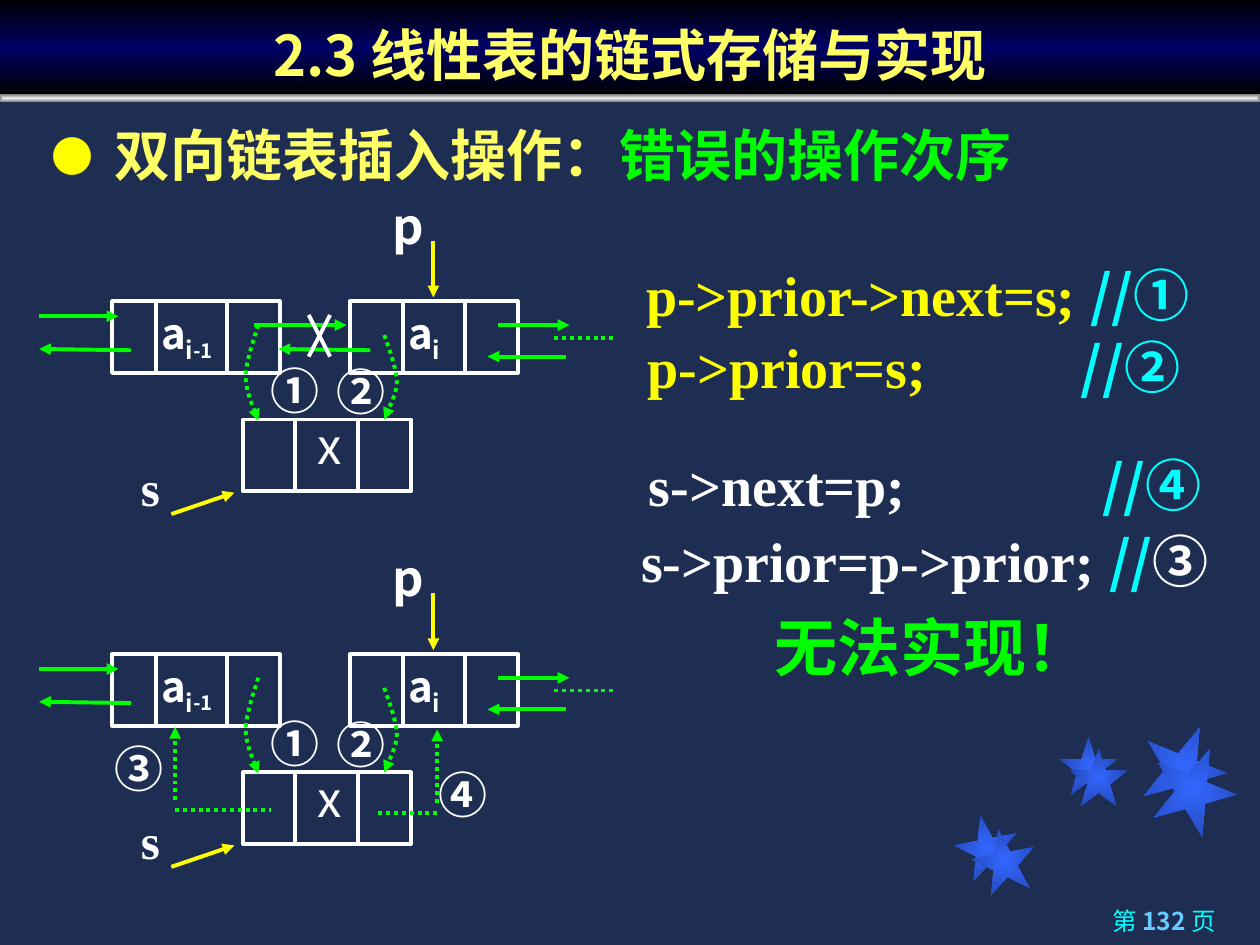
from lxml.etree import SubElement
from pptx import Presentation
from pptx.dml.color import RGBColor
from pptx.enum.dml import MSO_LINE
from pptx.enum.shapes import MSO_CONNECTOR, MSO_SHAPE
from pptx.enum.text import MSO_ANCHOR, MSO_AUTO_SIZE, PP_ALIGN
from pptx.oxml import parse_xml
from pptx.oxml.ns import nsdecls, qn
from pptx.util import Inches, Pt

NAVY, BLACK, DEEP = RGBColor(0x1E, 0x2E, 0x53), RGBColor(0, 0, 0), RGBColor(0, 0, 0x66)
WHITE, SILVER, GRAY = RGBColor(255, 255, 255), RGBColor(0xED, 0xED, 0xED), RGBColor(128, 128, 128)
CREAM, YELLOW = RGBColor(255, 255, 0x66), RGBColor(255, 255, 0)
GREEN, CYAN, SKY = RGBColor(0, 255, 0), RGBColor(0, 255, 255), RGBColor(0x66, 0xCC, 255)
BLUE, INDIGO = RGBColor(0x33, 0x66, 255), RGBColor(0x24, 0x49, 0xB6)
SANS, SERIF = "Noto Sans CJK SC", "Times New Roman"
WIDTH, HEIGHT = Inches(10), Inches(7.5)
UNIT = WIDTH // 100


def units(*values):
    """Turn hundredths of the slide width into lengths."""
    return [round(value * UNIT) for value in values]


def paint_gradient(shape, stops, direction):
    """Fill a shape with evenly spaced colour stops."""
    shape.fill.background()
    marks = "".join(
        f'<a:gs pos="{100000 * i // (len(stops) - 1)}"><a:srgbClr val="{color}"/></a:gs>'
        for i, color in enumerate(stops))
    old = shape.fill._xPr.find(qn("a:noFill"))
    old.getparent().replace(old, parse_xml(
        f'<a:gradFill {nsdecls("a")} rotWithShape="1"><a:gsLst>{marks}</a:gsLst>{direction}</a:gradFill>'))


LINEAR = '<a:lin ang="5400000" scaled="0"/>'
CENTRED = '<a:path path="rect"><a:fillToRect l="50000" t="50000" r="50000" b="50000"/></a:path>'


def write(paragraph, *pieces):
    """Add runs given as text, size, font, colour, bold and baseline."""
    for text, size, face, color, bold, *baseline in pieces:
        run = paragraph.add_run()
        run.text = text
        run.font.size, run.font.name, run.font.bold = Pt(size), face, bold
        run.font.color.rgb = color
        properties = run._r.get_or_add_rPr()
        SubElement(properties, qn("a:ea")).set("typeface", SANS)
        if baseline:
            properties.set("baseline", str(baseline[0] * 1000))


def add_text(slide, box, *pieces):
    """Place a wrapped text box and return its frame."""
    frame = slide.shapes.add_textbox(*units(*box)).text_frame
    frame.word_wrap = True
    write(frame.paragraphs[0], *pieces)
    return frame


def style_line(shape, color, dotted=False, arrow=False):
    """Give an outline its colour, dots and arrowhead."""
    shape.line.color.rgb, shape.line.width = color, Pt(2.25)
    if dotted:
        shape.line.dash_style = MSO_LINE.ROUND_DOT
    if arrow:
        SubElement(shape.line._get_or_add_ln(), qn("a:tailEnd")).set("type", "triangle")


def add_line(slide, origin, ends, color, **style):
    """Draw a straight line relative to an origin."""
    x, y = origin
    x1, y1, x2, y2 = ends
    line = slide.shapes.add_connector(MSO_CONNECTOR.STRAIGHT, *units(x + x1, y + y1, x + x2, y + y2))
    style_line(line, color, **style)
    SubElement(line._element.spPr, qn("a:effectLst"))


def add_curve(slide, origin, knots):
    """Draw a dotted arrow through two cubic curves."""
    points = []
    for a, b, c, d in (knots[:4], knots[3:]):
        for step in range(11):
            t = step / 10
            weights = (1 - t) ** 3, 3 * t * (1 - t) ** 2, 3 * t * t * (1 - t), t ** 3
            points.append(units(*(origin[axis] + sum(w * p[axis] for w, p in zip(weights, (a, b, c, d)))
                                  for axis in (0, 1))))
    builder = slide.shapes.build_freeform(*points[0])
    builder.add_line_segments(points[1:], close=False)
    curve = builder.convert_to_shape()
    curve.shadow.inherit = False
    curve.fill.background()
    style_line(curve, GREEN, dotted=True, arrow=True)


def add_node(slide, left, top, dividers):
    """Draw a list node with three cells."""
    node = slide.shapes.add_shape(MSO_SHAPE.RECTANGLE, *units(left, top, 13.3, 5.7))
    node.shadow.inherit = False
    node.fill.background()
    style_line(node, WHITE)
    for x in dividers:
        add_line(slide, (left, top), (x, 0, x, 5.7), WHITE)


def add_label(slide, origin, box, *pieces):
    """Place a label relative to an origin."""
    add_text(slide, (origin[0] + box[0], origin[1] + box[1], *box[2:]), *pieces)


def add_chain(slide, origin):
    """Draw two linked nodes with the new node below them."""
    for x, y, dividers in ((0, 0, (3.5, 9.1)), (18.9, 0, (4.2, 9.1)), (10.4, 9.4, (4.1, 9.1))):
        add_node(slide, origin[0] + x, origin[1] + y, dividers)
    for ends in ((-5.8, 1.2, 0.5, 1.2), (1.5, 3.9, -5.8, 3.8),
                 (30.6, 1.9, 36.3, 1.9), (36, 4.4, 29.8, 4.4)):
        add_line(slide, origin, ends, GREEN, arrow=True)
    for ends in ((25.5, -4.8, 25.5, -0.3), (4.7, 16.9, 9.7, 15.2)):
        add_line(slide, origin, ends, YELLOW, arrow=True)
    add_line(slide, origin, (35.1, 2.9, 39.8, 2.9), GREEN, dotted=True)
    letter, index = ("a", 24, SANS, WHITE, True), ("i", 24, SANS, WHITE, True, -25)
    add_label(slide, origin, (2.9, 0, 10.3, 5.1), letter, index, ("-1", 20, SANS, WHITE, True, -25))
    add_label(slide, origin, (22.5, 0, 7.8, 5.1), letter, index)
    for text, x, y, width, face, bold in (
            ("p", 21.3, -8.9, 4, SANS, True), ("x", 15.3, 8.6, 5.7, SANS, False),
            ("s", 1.3, 11.9, 5, SERIF, True), ("①", 11.6, 4.2, 5.7, SANS, True),
            ("②", 16.8, 4.3, 6.4, SANS, True)):
        add_label(slide, origin, (x, y, width, 5.7), (text, 28, face, WHITE, bold))
    add_curve(slide, origin, ((11.6, 1.9), (11.4, 2.6), (10.6, 4.8), (10.6, 6),
                              (10.6, 7.3), (11.4, 8.8), (11.6, 9.5)))
    add_curve(slide, origin, ((21.6, 2.7), (21.8, 3.3), (22.6, 5.3), (22.6, 6.4),
                              (22.6, 7.5), (21.8, 8.7), (21.6, 9.4)))


def add_broken_link(slide, origin):
    """Cross out the links between the two nodes."""
    for ends in ((11.3, 1.9, 18.6, 1.9), (20.5, 3.9, 13.2, 3.8)):
        add_line(slide, origin, ends, GREEN, arrow=True)
    for ends in ((17.3, 1.1, 15.6, 4.4), (15.6, 1.1, 17.3, 4.4)):
        add_line(slide, origin, ends, WHITE)


def add_new_links(slide, origin):
    """Draw the dotted links from the new node to its neighbours."""
    for text, x, far, low, head, label in (
            ("③", 5, 12.6, 12.4, 5.8, (-0.8, 6.2, 4.6, 5.7)),
            ("④", 25.8, 21, 12.6, 6, (24.9, 8.3, 5.9, 5.7))):
        add_line(slide, origin, (x, low - 0.8, x, head), GREEN, dotted=True, arrow=True)
        add_line(slide, origin, (x, low, far, low), GREEN, dotted=True)
        add_label(slide, origin, label, (text, 28, SANS, WHITE, True))


def add_code(slide, box, statement, note, color, mark_color=CYAN, tab=None):
    """Write a statement with its numbered note, set off by a space or a tab."""
    gap = "\t" if tab else " "
    frame = add_text(slide, box, (statement + gap, 32, SERIF, color, True),
                     ("//", 32, SANS, CYAN, True), (note, 32, SANS, mark_color, True))
    line = frame.paragraphs[0]
    line.line_spacing = 1.2
    if tab:
        stops = SubElement(line._p.get_or_add_pPr(), qn("a:tabLst"))
        SubElement(stops, qn("a:tab"), pos=str(units(tab)[0]), algn="l")
    return frame


def add_statements(slide, left):
    """Write the four statements and the verdict."""
    add_code(slide, (left + 0.4, 19.1, 47.4, 7.5), "p->prior->next=s;", "①", YELLOW)
    add_code(slide, (left + 0.5, 24.8, 47.4, 7.5), "p->prior=s;", "②", YELLOW, tab=34.4)
    add_code(slide, (left + 0.6, 34.2, 48.1, 7.5), "s->next=p;", "④", WHITE, tab=36)
    frame = add_code(slide, (left, 40.2, 48.1, 14.7), "s->prior=p->prior;", "③", WHITE, WHITE)
    verdict = frame.add_paragraph()
    verdict.alignment, verdict.line_spacing = PP_ALIGN.CENTER, 1.2
    write(verdict, ("无法实现！", 36, SANS, GREEN, True))


def add_stars(slide):
    """Scatter three pairs of stars in the lower right corner."""
    for x, y, size, turn in ((75.8, 64.7, 5, 349), (84.1, 58.5, 4.6, 0), (90.6, 57.5, 6.7, 22),
                             (77.2, 65.8, 5, 349), (84.9, 59.4, 4.6, 0), (91.4, 59.2, 6.7, 22)):
        star = slide.shapes.add_shape(MSO_SHAPE.STAR_5_POINT, *units(x, y, size, size))
        star.rotation, star.shadow.inherit = turn, False
        paint_gradient(star, (BLUE, INDIGO), CENTRED)
        star.line.fill.background()


def set_placeholder(holder, box, anchor, *pieces):
    """Move a placeholder, write its text and return its paragraph."""
    holder.left, holder.top, holder.width, holder.height = units(*box)
    frame = holder.text_frame
    frame.auto_size, frame.vertical_anchor = MSO_AUTO_SIZE.NONE, anchor
    paragraph = frame.paragraphs[0]
    paragraph.space_before = Pt(0)
    write(paragraph, *pieces)
    return paragraph


def add_header(slide):
    """Set the title band, its rule and the topic bullet."""
    title, topic = slide.placeholders
    heading = set_placeholder(title, (0, 0, 100, 7.5), MSO_ANCHOR.BOTTOM,
                              ("2.3 线性表的链式存储与实现", 32, SANS, CREAM, True))
    heading.alignment = PP_ALIGN.CENTER
    paint_gradient(title, (BLACK, DEEP, BLACK), LINEAR)
    rule = slide.shapes.add_shape(MSO_SHAPE.RECTANGLE, *units(0, 7.5, 100, 0.6))
    rule.shadow.inherit = False
    paint_gradient(rule, (SILVER, GRAY), CENTRED)
    rule.line.fill.background()
    bullet = set_placeholder(topic, (3.1, 9.1, 83.6, 6.4), MSO_ANCHOR.TOP,
                             ("双向链表插入操作：", 32, SERIF, CREAM, True),
                             ("错误的操作次序", 32, SERIF, GREEN, True))
    layout = bullet._p.get_or_add_pPr()
    layout.set("marL", str(5 * UNIT))
    layout.set("indent", str(-5 * UNIT))
    SubElement(SubElement(layout, qn("a:buClr")), qn("a:srgbClr")).set("val", str(YELLOW))
    SubElement(layout, qn("a:buSzPct")).set("val", "75000")
    SubElement(layout, qn("a:buFont")).set("typeface", SANS)
    SubElement(layout, qn("a:buChar")).set("char", "●")


def add_page_number(slide):
    """Write the page number at the lower right."""
    frame = add_text(slide, (71.2, 71.4, 26.3, 3.6), ("第 ", 14, SANS, CYAN, False),
                     ("132 ", 14, SANS, SKY, True), ("页", 14, SANS, CYAN, False))
    frame.paragraphs[0].alignment = PP_ALIGN.RIGHT


def main():
    """Build and save the slide."""
    deck = Presentation()
    deck.slide_width, deck.slide_height = WIDTH, HEIGHT
    slide = deck.slides.add_slide(deck.slide_layouts[1])
    slide.background.fill.solid()
    slide.background.fill.fore_color.rgb = NAVY
    add_header(slide)
    add_stars(slide)
    add_page_number(slide)
    add_statements(slide, 49.9)
    for top, add_links in ((23.9, add_broken_link), (51.9, add_new_links)):
        add_chain(slide, (8.9, top))
        add_links(slide, (8.9, top))
    deck.save("out.pptx")


if __name__ == "__main__":
    main()
